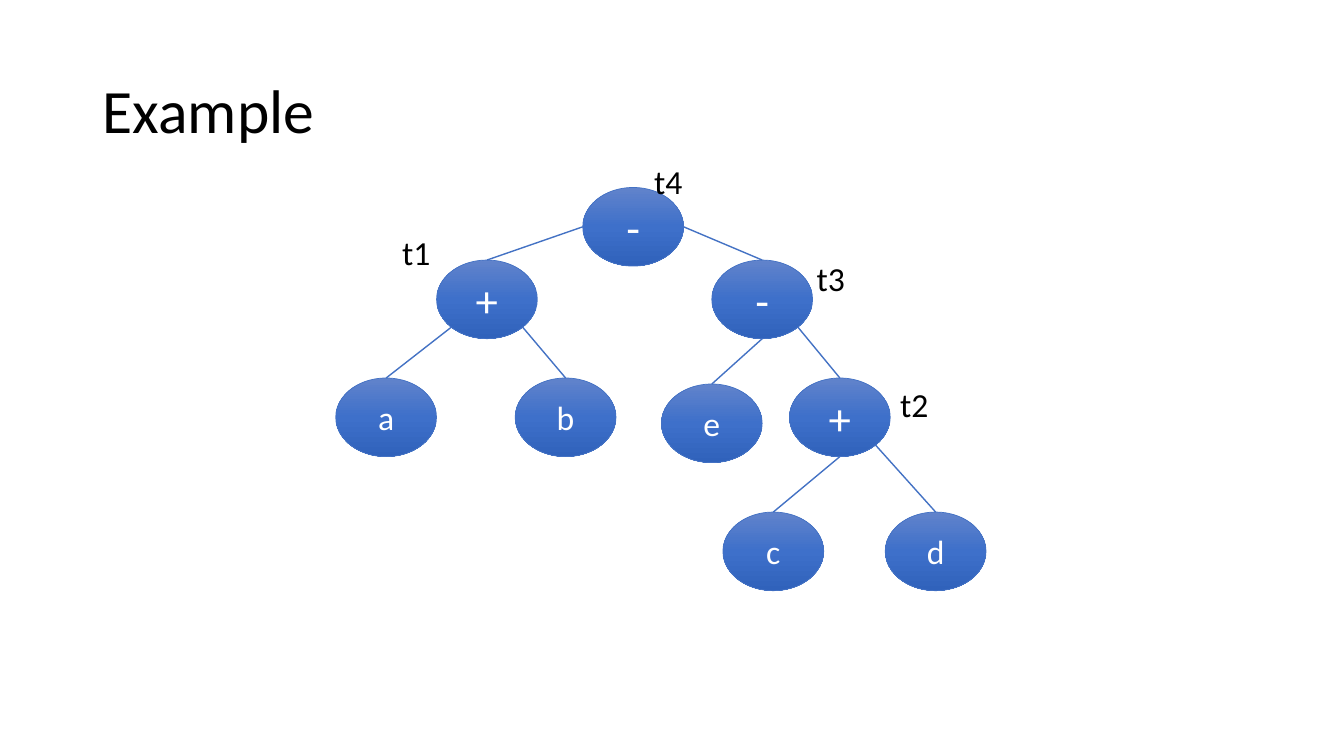
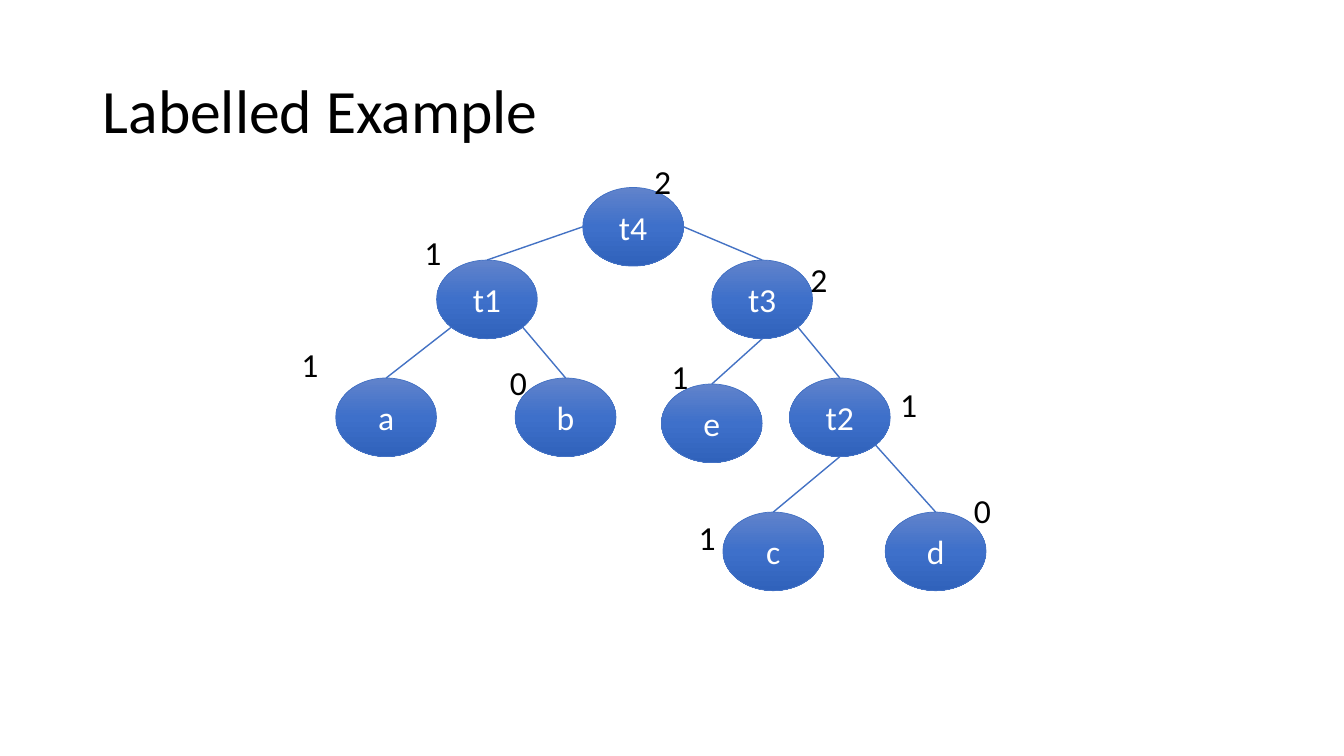
"""Build two slides showing an expression tree and its labelled version."""
from copy import deepcopy
from dataclasses import dataclass

from lxml import etree
from pptx import Presentation
from pptx import util as u
from pptx.dml.color import RGBColor
from pptx.enum import shapes, text
from pptx.oxml.ns import qn


@dataclass(frozen=True)
class Theme:
    font: str = "Calibri"
    ink: str = "000000"
    node_ink: str = "FFFFFF"
    line: str = "4472C4"
    gradient: tuple = ((0, "6183CB"), (0.5, "3E70CA"), (1, "3062BB"))
    title_size: int = 44
    operator_size: int = 32
    text_size: int = 24
    outline: float = 0.5
    edge: float = 1


THEME = Theme()
SLIDE_SIZE = (13.33, 7.5)
TITLE_AREA = (0.92, 0.4, 11.5, 1.45)
NODE_WIDTH, NODE_HEIGHT = 1, 0.78
LABEL_HEIGHT = 0.5

NODES = {
    "t4": (5.78, 1.86),
    "t1": (4.33, 2.58),
    "a": (3.33, 3.75),
    "b": (5.11, 3.75),
    "t3": (7.06, 2.58),
    "e": (6.56, 3.81),
    "c": (7.17, 5.08),
    "t2": (7.83, 3.75),
    "d": (8.78, 5.08),
}

DIAGONAL = 0.71
TOP, BOTTOM, LEFT, RIGHT = (0, -1), (0, 1), (-1, 0), (1, 0)
LOWER_LEFT, LOWER_RIGHT = (-DIAGONAL, DIAGONAL), (DIAGONAL, DIAGONAL)
EDGES = [
    ("t4", LEFT, "t1"),
    ("t4", RIGHT, "t3"),
    ("t1", LOWER_LEFT, "a"),
    ("t1", LOWER_RIGHT, "b"),
    ("t3", BOTTOM, "e"),
    ("t3", LOWER_RIGHT, "t2"),
    ("t2", BOTTOM, "c"),
    ("t2", LOWER_RIGHT, "d"),
]

SLIDES = [
    {
        "title": "Example",
        "operators": {"t4": "-", "t1": "+", "t3": "-", "t2": "+"},
        "label_width": 0.75,
        "labels": [("t4", 6.39, 1.55), ("t3", 8, 2.51),
                   ("t2", 8.83, 3.76), ("t1", 3.89, 2.25)],
    },
    {
        "title": "Labelled Example",
        "operators": {},
        "label_width": 0.44,
        "labels": [("1", 2.89, 3.36), ("2", 6.39, 1.55), ("2", 7.94, 2.52),
                   ("0", 9.56, 4.81), ("1", 8.83, 3.76), ("1", 4.11, 2.25),
                   ("1", 6.56, 3.48), ("0", 4.96, 3.54), ("1", 6.83, 5.08)],
    },
]


def inches(*lengths):
    return [u.Inches(length) for length in lengths]


def write(shape, words, size, color):
    shape.text_frame.text = words
    shape.text_frame.word_wrap = True
    para = shape.text_frame.paragraphs[0]
    font = para.runs[0].font
    font.name, font.size = THEME.font, u.Pt(size)
    font.color.rgb = RGBColor.from_string(color)
    return para


def add_text(page, words, area, size):
    box = page.shapes.add_textbox(*inches(*area))
    return box.text_frame, write(box, words, size, THEME.ink)


def add_title(page, words):
    frame, para = add_text(page, words, TITLE_AREA, THEME.title_size)
    frame.vertical_anchor = text.MSO_ANCHOR.MIDDLE
    para.line_spacing = 0.9


def style_line(shape, width):
    shape.line.color.rgb = RGBColor.from_string(THEME.line)
    shape.line.width = u.Pt(width)


def fill_gradient(shape):
    shape.fill.gradient()
    shape.fill.gradient_angle = 270
    stop_list = next(shape._element.spPr.iter(qn("a:gsLst")))
    stop_list.append(deepcopy(stop_list[-1]))
    for stop, (position, color) in zip(shape.fill.gradient_stops, THEME.gradient):
        stop.position = position
        stop.color.rgb = RGBColor.from_string(color)


def add_node(page, corner, words, size):
    node = page.shapes.add_shape(
        shapes.MSO_SHAPE.OVAL, *inches(*corner, NODE_WIDTH, NODE_HEIGHT))
    node.shadow.inherit = False
    fill_gradient(node)
    style_line(node, THEME.outline)
    node.text_frame.vertical_anchor = text.MSO_ANCHOR.MIDDLE
    write(node, words, size, THEME.node_ink).alignment = text.PP_ALIGN.CENTER


def rim_point(name, direction):
    left, top = NODES[name]
    across, down = direction
    return inches(left + NODE_WIDTH * (1 + across) / 2,
                  top + NODE_HEIGHT * (1 + down) / 2)


def add_edge(page, parent, side, child):
    edge = page.shapes.add_connector(
        shapes.MSO_CONNECTOR.STRAIGHT, *rim_point(parent, side), *rim_point(child, TOP))
    style_line(edge, THEME.edge)
    etree.SubElement(edge._element.spPr, qn("a:effectLst"))


def add_tree(page, operators):
    for name, corner in NODES.items():
        size = THEME.operator_size if name in operators else THEME.text_size
        add_node(page, corner, operators.get(name, name), size)
    for edge in EDGES:
        add_edge(page, *edge)


def main():
    deck = Presentation()
    deck.slide_width, deck.slide_height = inches(*SLIDE_SIZE)
    for content in SLIDES:
        page = deck.slides.add_slide(deck.slide_layouts[6])
        add_title(page, content["title"])
        add_tree(page, content["operators"])
        for words, left, top in content["labels"]:
            area = (left, top, content["label_width"], LABEL_HEIGHT)
            add_text(page, words, area, THEME.text_size)
    deck.save("out.pptx")


if __name__ == "__main__":
    main()
